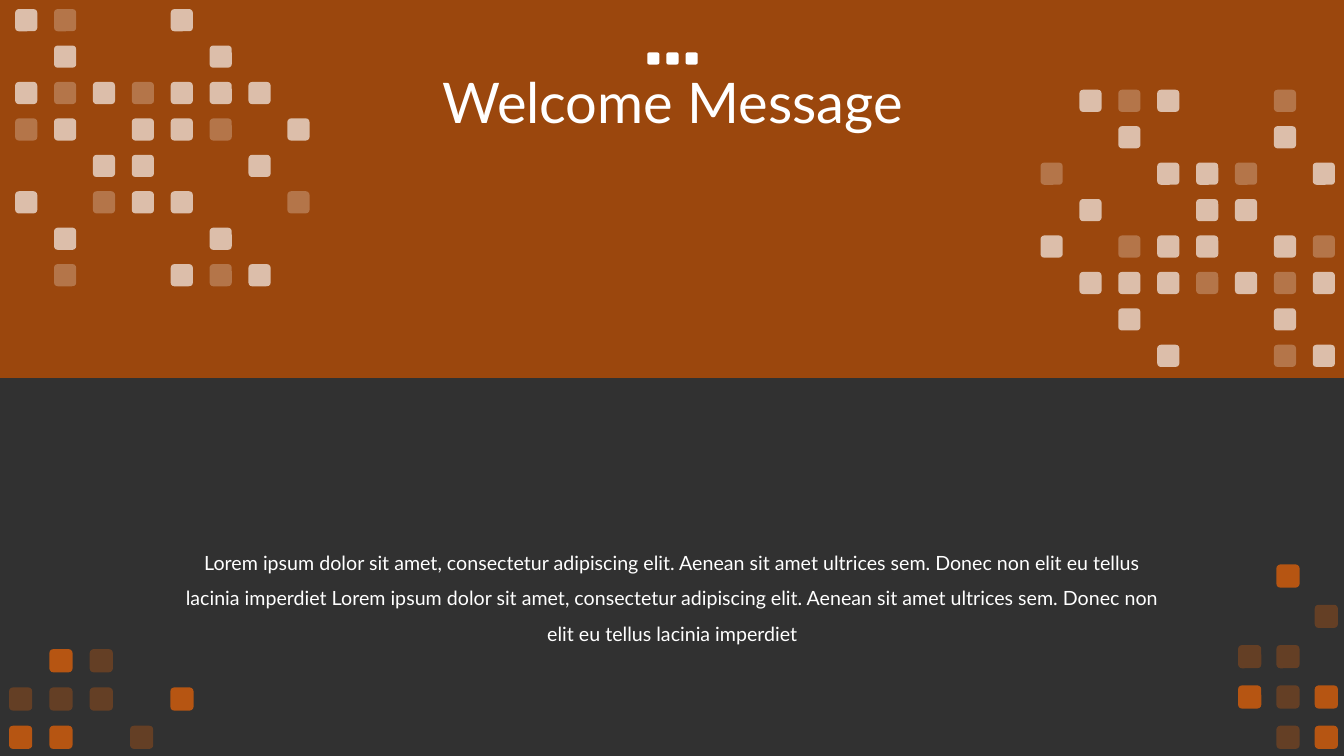
from lxml import etree
from pptx import Presentation
from pptx.dml.color import RGBColor
from pptx.enum.shapes import MSO_SHAPE
from pptx.enum.text import MSO_ANCHOR, PP_ALIGN
from pptx.oxml.ns import qn
from pptx.util import Inches, Pt

RECTANGLE = MSO_SHAPE.RECTANGLE
ROUNDED = MSO_SHAPE.ROUNDED_RECTANGLE
TOP = MSO_ANCHOR.TOP
MIDDLE = MSO_ANCHOR.MIDDLE
CENTER = PP_ALIGN.CENTER

COLUMNS, ROWS = 13.33, 7.5
DARK, BANNER, ORANGE, WHITE = "313131", "BF4F01", "FE6902", "FFFFFF"
OPACITY = {"#": 65, "o": 25}

UPPER_MOSAIC = [
    "#o..#...",
    ".#...#..",
    "#o#o###.",
    "o#.##o.#",
    "..##..#.",
    "#.o##..o",
    ".#...#..",
    ".o..#o#.",
]
LOWER_MOSAIC = [
    ".#o..",
    "ooo.#",
    "##.o.",
]
BODY = (
    "Lorem ipsum dolor sit amet, consectetur adipiscing elit. Aenean sit amet ultrices sem. "
    "Donec non elit eu tellus lacinia imperdiet Lorem ipsum dolor sit amet, consectetur "
    "adipiscing elit. Aenean sit amet ultrices sem. Donec non elit eu tellus lacinia imperdiet"
)


def color(hex_code):
    return RGBColor.from_string(hex_code)


def half_turn(pattern):
    return [row[::-1] for row in reversed(pattern)]


def quarter_turn_left(pattern):
    return list(zip(*pattern))[::-1]


class WelcomeSlide:
    font = "Lato"
    ink = WHITE

    def __init__(self, deck):
        self.column = deck.slide_width / COLUMNS
        self.row = deck.slide_height / ROWS
        self.slide = deck.slides.add_slide(deck.slide_layouts[6])

    def background(self, fill):
        backdrop = self.slide.background.fill
        backdrop.solid()
        backdrop.fore_color.rgb = color(fill)

    def place(self, left, top, width, height):
        return (round(left * self.column), round(top * self.row),
                round(width * self.column), round(height * self.row))

    def block(self, kind, box, fill, opacity=100, group=None):
        owner = group or self.slide
        block = owner.shapes.add_shape(kind, *self.place(*box))
        block.shadow.inherit = False
        block.line.fill.background()
        block.fill.solid()
        block.fill.fore_color.rgb = color(fill)
        if opacity < 100:
            tint = block.fill._xPr.find(qn("a:solidFill"))[0]
            etree.SubElement(tint, qn("a:alpha")).set("val", str(opacity * 1000))

    def mosaic(self, pattern, origin, step, size, fill):
        group = self.slide.shapes.add_group_shape()
        for r, line in enumerate(pattern):
            for c, mark in enumerate(line):
                if mark in OPACITY:
                    box = (origin[0] + c * step[0], origin[1] + r * step[1], size, size)
                    self.block(ROUNDED, box, fill, OPACITY[mark], group)

    def dots(self, left, top, step, size, count):
        group = self.slide.shapes.add_group_shape()
        for i in range(count):
            self.block(ROUNDED, (left + i * step, top, size, size), WHITE, group=group)

    def text(self, words, box, size, spacing, anchor):
        frame = self.slide.shapes.add_textbox(*self.place(*box)).text_frame
        frame.word_wrap = True
        frame.vertical_anchor = anchor
        paragraph = frame.paragraphs[0]
        paragraph.alignment = CENTER
        paragraph.line_spacing = spacing
        run = paragraph.add_run()
        run.text = words
        run.font.name = self.font
        run.font.size = Pt(size)
        run.font.color.rgb = color(self.ink)


def main():
    deck = Presentation()
    deck.slide_width = Inches(COLUMNS)
    deck.slide_height = Inches(ROWS)

    welcome = WelcomeSlide(deck)
    welcome.background(DARK)
    welcome.block(RECTANGLE, (0, 0, COLUMNS, ROWS / 2), BANNER, 75)
    welcome.text("Welcome Message", (0.92, 0.32, 11.5, 1.45), 40, 0.9, MIDDLE)
    welcome.text(BODY, (1.74, 5.3, 9.86, 1.11), 14, 1.5, TOP)
    welcome.dots(6.42, 0.52, 0.19, 0.12, 3)

    upper_step = (2.7 / 7, 2.53 / 7)
    welcome.mosaic(UPPER_MOSAIC, (0.15, 0.09), upper_step, 0.22, WHITE)
    welcome.mosaic(half_turn(UPPER_MOSAIC), (10.32, 0.89), upper_step, 0.22, WHITE)
    welcome.mosaic(LOWER_MOSAIC, (0.09, 6.44), (0.4, 0.38), 0.23, ORANGE)
    welcome.mosaic(quarter_turn_left(LOWER_MOSAIC), (12.28, 5.6), (0.38, 0.4), 0.23, ORANGE)

    deck.save("out.pptx")


if __name__ == "__main__":
    main()
